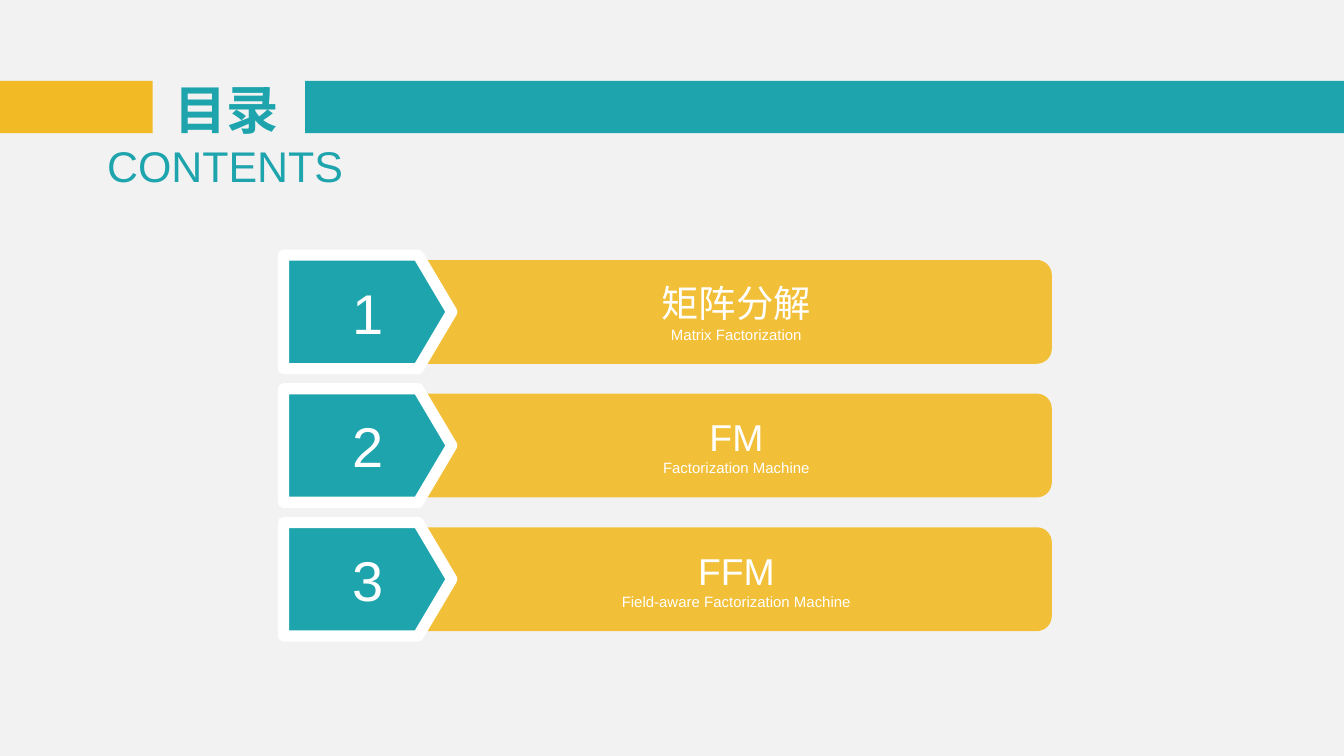
from math import cos, pi, sin

from lxml import etree
from pptx import Presentation
from pptx.dml.color import RGBColor
from pptx.enum.shapes import MSO_SHAPE
from pptx.enum.text import MSO_ANCHOR, MSO_AUTO_SIZE, PP_ALIGN
from pptx.oxml.ns import qn
from pptx.util import Pt

RECT = MSO_SHAPE.RECTANGLE
MID, TOP = MSO_ANCHOR.MIDDLE, MSO_ANCHOR.TOP
CENTER = PP_ALIGN.CENTER
NONE = MSO_AUTO_SIZE.NONE

HUES = {"back": "F2F2F2", "teal": "1EA4AD", "gold": "F2BA25", "white": "FFFFFF"}
RGB = {name: RGBColor.from_string(hue) for name, hue in HUES.items()}

ITEMS = [
    ("矩阵分解", "Matrix Factorization"),
    ("FM", "Factorization Machine"),
    ("FFM", "Field-aware Factorization Machine"),
]
FIRST, STEP = 167.1, 71.6  # middle of the first row, row pitch
BAR_L, BAR_R, BAR_H, CURVE = 225.6, 563.5, 55.6, 8
TAG_L, TAG_R, TAG_H, NOTCH = 151.9, 242, 60.8, 18

deck = Presentation()
deck.slide_width, deck.slide_height = Pt(720), Pt(405)
slide = deck.slides.add_slide(deck.slide_layouts[5])
slide.background.fill.solid()
slide.background.fill.fore_color.rgb = RGB["back"]


def write(shape, lines, hue, anchor=MID):
    """Fill a shape with centred lines, each a (text, size, bold) tuple."""
    frame = shape.text_frame
    frame.word_wrap = True
    frame.auto_size = NONE
    frame.vertical_anchor = anchor
    frame.margin_left = frame.margin_right = 0
    frame.margin_top = frame.margin_bottom = 0
    for i, (text, size, bold) in enumerate(lines):
        para = frame.add_paragraph() if i else frame.paragraphs[0]
        para.text = text
        para.alignment = CENTER
        para.font.name = "Arial"
        para.font.size = Pt(size)
        para.font.bold = bold
        para.font.color.rgb = RGB[hue]


def outline(points, hue):
    """Draw a closed, filled polygon through points."""
    first, *rest = [(Pt(x), Pt(y)) for x, y in points]
    pen = slide.shapes.build_freeform(*first)
    pen.add_line_segments(rest, close=True)
    shape = pen.convert_to_shape()
    shape.shadow.inherit = False
    shape.fill.solid()
    shape.fill.fore_color.rgb = RGB[hue]
    shape.line.fill.background()
    return shape


for i, (name, gloss) in enumerate(ITEMS):
    mid = FIRST + i * STEP

    # Bar with two rounded corners on the right
    turns = [k * pi / 16 for k in range(9)]
    low = [(BAR_R - CURVE * (1 - cos(t)), mid + BAR_H / 2 - CURVE * (1 - sin(t)))
           for t in turns]
    high = [(x, 2 * mid - y) for x, y in reversed(low)]
    ends = [(BAR_L, mid - BAR_H / 2), (BAR_L, mid + BAR_H / 2)]
    bar = outline(ends + low[::-1] + high[::-1], "gold")
    color = bar._element.spPr.find(qn("a:solidFill"))[0]
    etree.SubElement(color, qn("a:alpha")).set("val", "90000")
    write(bar, [(name, 20, False), (gloss, 8, False)], "white")

    # Numbered arrow tag
    top, base = mid - TAG_H / 2, mid + TAG_H / 2
    tag = outline([(TAG_L, top), (TAG_R - NOTCH, top), (TAG_R, mid),
                   (TAG_R - NOTCH, base), (TAG_L, base)], "teal")
    tag.line.color.rgb = RGB["white"]
    tag.line.width = Pt(6)
    etree.SubElement(tag._element.spPr.find(qn("a:ln")), qn("a:round"))
    write(tag, [(str(i + 1), 30, False)], "white")

# Header bands
for left, width, hue in [(0, 81.8, "gold"), (163.5, 556.5, "teal")]:
    band = slide.shapes.add_shape(RECT, Pt(left), Pt(43.3), Pt(width), Pt(28))
    band.shadow.inherit = False
    band.fill.solid()
    band.fill.fore_color.rgb = RGB[hue]
    band.line.fill.background()

title = slide.shapes.title
title.left, title.top, title.width, title.height = Pt(89.3), Pt(41), Pt(64), Pt(34.6)
write(title, [("目录", 28, True)], "teal")

sub = slide.shapes.add_textbox(Pt(48), Pt(75), Pt(145.4), Pt(28))
write(sub, [("CONTENTS", 23, False)], "teal", TOP)

deck.save("out.pptx")
